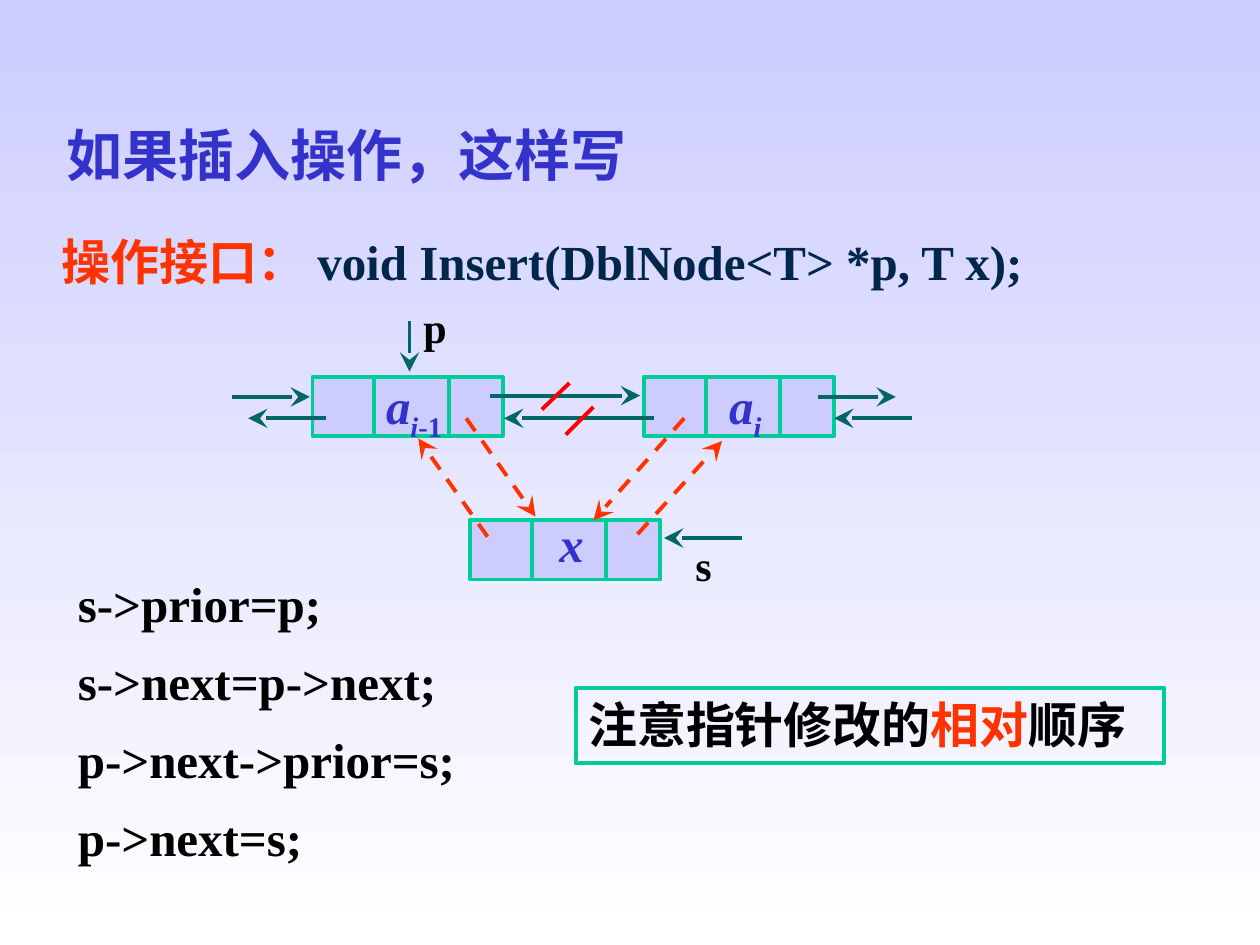
from dataclasses import dataclass
from typing import Optional

from lxml import etree
from pptx import Presentation
from pptx.dml.color import RGBColor
from pptx.enum.dml import MSO_LINE
from pptx.enum.shapes import MSO_CONNECTOR, MSO_SHAPE
from pptx.enum.text import MSO_ANCHOR, MSO_AUTO_SIZE, PP_ALIGN
from pptx.oxml.ns import qn
from pptx.util import Inches, Pt

STRAIGHT = MSO_CONNECTOR.STRAIGHT
RECT = MSO_SHAPE.RECTANGLE
DASH = MSO_LINE.DASH
TOP = MSO_ANCHOR.TOP
FIXED = MSO_AUTO_SIZE.NONE
LEFT, CENTER = PP_ALIGN.LEFT, PP_ALIGN.CENTER

HEX = {
    "sky": "CCCCFF", "white": "FFFFFF", "blue": "3333CC", "navy": "00264C",
    "teal": "006666", "green": "00CC99", "orange": "FF3300",
    "red": "FF0000", "black": "000000",
}
SERIF, SANS = "Times New Roman", "Arial"
PAD = (0.1, 0.05, 0.1, 0.05)
FLAT = (0, 0, 0, 0)
WIDE, HIGH = 1.51, 0.47
SPLITS = (0.49, 1.08)


@dataclass
class Run:
    text: str
    color: str = "black"
    italic: bool = False
    base: int = 0


@dataclass
class Node:
    x: float
    y: float
    runs: list[Run]


@dataclass
class Link:
    x1: float
    y1: float
    x2: float
    y2: float
    color: str = "teal"
    dash: bool = False
    head: bool = True


@dataclass
class Label:
    x: float
    y: float
    w: float
    h: float
    runs: list[Run]
    size: int = 28
    pad: tuple = PAD


def rgb(name: str) -> RGBColor:
    return RGBColor.from_string(HEX[name])


def write(shape, runs: list[Run], size: int = 28, font: str = SERIF,
          pad: tuple = PAD, align=LEFT, space: Optional[float] = None) -> None:
    frame = shape.text_frame
    frame.word_wrap = True
    frame.auto_size = FIXED
    frame.vertical_anchor = TOP
    (frame.margin_left, frame.margin_top,
     frame.margin_right, frame.margin_bottom) = map(Inches, pad)
    para = frame.paragraphs[0]
    para.alignment = align
    para.line_spacing = space
    for item in runs:
        run = para.add_run()
        run.text = item.text
        run.font.name = font
        run.font.size = Pt(size)
        run.font.bold = True
        run.font.italic = item.italic
        run.font.color.rgb = rgb(item.color)
        if item.base:
            run.font._element.set("baseline", str(item.base * 1000))


def draw_link(slide, link: Link) -> None:
    ends = map(Inches, (link.x1, link.y1, link.x2, link.y2))
    line = slide.shapes.add_connector(STRAIGHT, *ends)
    line.line.color.rgb = rgb(link.color)
    line.line.width = Pt(2.25)
    if link.dash:
        line.line.dash_style = DASH
    if link.head:
        etree.SubElement(line.line._get_or_add_ln(), qn("a:tailEnd"),
                         type="stealth", w="lg", len="lg")
    etree.SubElement(line._element.spPr, qn("a:effectLst"))


def draw_box(slide, x: float, y: float, w: float, h: float,
             fill: Optional[str] = None):
    box = slide.shapes.add_shape(RECT, *map(Inches, (x, y, w, h)))
    box.shadow.inherit = False
    if fill:
        box.fill.solid()
        box.fill.fore_color.rgb = rgb(fill)
    else:
        box.fill.background()
    box.line.color.rgb = rgb("green")
    box.line.width = Pt(2.25)
    return box


def draw_node(slide, node: Node) -> None:
    box = draw_box(slide, node.x, node.y, WIDE, HIGH, "sky")
    write(box, node.runs, pad=(0.2, 0, 0.1, 0.09), align=CENTER, space=0.9)
    for gap in SPLITS:
        x = node.x + gap
        draw_link(slide, Link(x, node.y, x, node.y + HIGH, "green", head=False))


def draw_label(slide, label: Label) -> None:
    place = map(Inches, (label.x, label.y, label.w, label.h))
    box = slide.shapes.add_textbox(*place)
    write(box, label.runs, size=label.size, pad=label.pad)


def mark(text: str, italic: bool = True, base: int = 0) -> Run:
    return Run(text, "blue", italic, base)


NODES = [
    Node(2.48, 2.99, [mark("a"), mark("i", base=-25),
                      mark("-1", italic=False, base=-25)]),
    Node(5.11, 2.99, [mark("a"), mark("i", base=-25)]),
    Node(3.73, 4.13, [mark("x")]),
]
LINKS = [
    Link(1.84, 3.15, 2.46, 3.15),
    Link(3.89, 3.14, 5.08, 3.14),
    Link(6.49, 3.15, 7.11, 3.15),
    Link(5.19, 3.32, 4, 3.32),
    Link(7.24, 3.32, 6.62, 3.32),
    Link(2.59, 3.32, 1.97, 3.32),
    Link(3.25, 2.55, 3.25, 2.95),
    Link(5.89, 4.27, 5.27, 4.27),
    Link(3.87, 4.26, 3.32, 3.48, "orange", True),
    Link(5.06, 4.24, 5.73, 3.5, "orange", True),
    Link(5.43, 3.32, 4.71, 4.13, "orange", True),
    Link(3.7, 3.32, 4.25, 4.1, "orange", True),
    Link(4.71, 3.23, 4.49, 3.45, "red", head=False),
    Link(4.52, 3.04, 4.3, 3.25, "red", head=False),
]
CODE = ["s->prior=p;", "s->next=p->next;", "p->next->prior=s;", "p->next=s;"]
LABELS = [
    Label(0.39, 1.79, 8.75, 0.57, [
        Run("操作接口： ", "orange"),
        Run("void Insert(DblNode<T> *p, T x);", "navy")]),
    Label(3.36, 2.39, 0.27, 0.4, [Run("p")], 24, FLAT),
    Label(5.52, 4.28, 0.27, 0.4, [Run("s")], 24, FLAT),
] + [Label(0.52, 4.5 + 0.62 * row, 4, 0.57, [Run(text)])
     for row, text in enumerate(CODE)]


def main() -> None:
    deck = Presentation()
    deck.slide_width, deck.slide_height = Inches(10), Inches(7.5)
    slide = deck.slides.add_slide(deck.slide_layouts[5])

    fill = slide.background.fill
    fill.gradient()
    fill.gradient_angle = 270
    for stop, name in zip(fill.gradient_stops, ("sky", "white")):
        stop.color.rgb = rgb(name)

    title = slide.shapes.title
    title.left, title.top = Inches(0.43), Inches(0.91)
    title.width, title.height = Inches(4.75), Inches(0.63)
    write(title, [Run("如果插入操作，这样写", "blue")], size=32, font=SANS)

    for node in NODES:
        draw_node(slide, node)
    for link in LINKS:
        draw_link(slide, link)
    for label in LABELS:
        draw_label(slide, label)

    note = draw_box(slide, 4.57, 5.46, 4.67, 0.6)
    write(note, [Run("注意指针修改的"), Run("相对", "orange"), Run("顺序")],
          font=SANS)
    deck.save("out.pptx")


if __name__ == "__main__":
    main()
